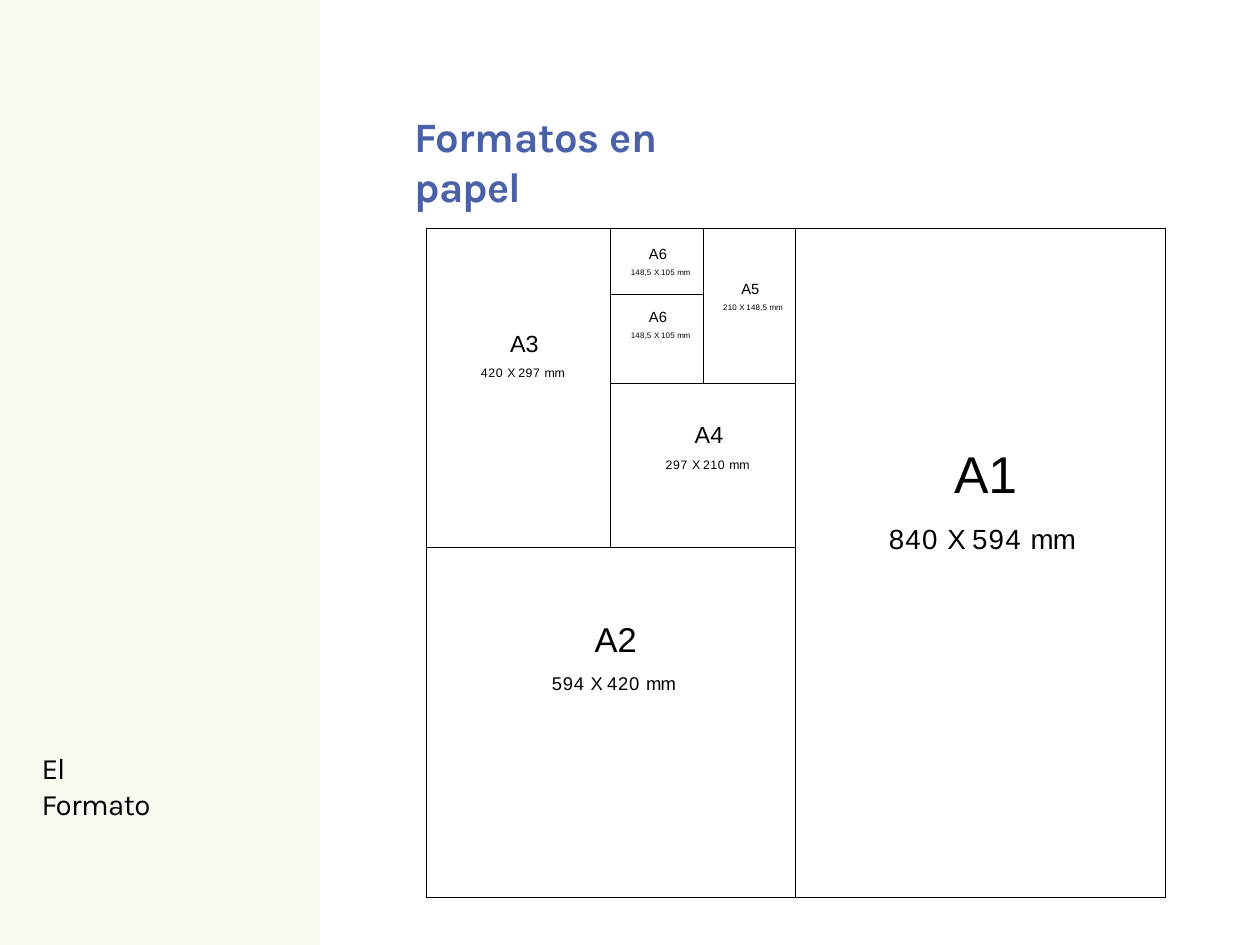
from collections import namedtuple
from lxml import etree
from pptx import Presentation
from pptx.dml.color import RGBColor
from pptx.enum.shapes import MSO_SHAPE
from pptx.enum.text import PP_ALIGN
from pptx.oxml.ns import qn
from pptx.util import Inches, Pt

RECT = MSO_SHAPE.RECTANGLE
CENTER = PP_ALIGN.CENTER

Box = namedtuple("Box", "x y w h")
Paper = namedtuple("Paper", "name row col rows cols top style height width")
Style = namedtuple("Style", "label size gap label_indent size_indent tracking")

SLIDE = Box(0, 0, 14.22, 10.67)
SIDEBAR = Box(0, 0, 3.61, SLIDE.h)
TITLE = Box(4.68, 1.24, 3.94, 0.59)
CHART = Box(4.81, 2.58, 8.34, 7.56)

THEME = {
    "heading_font": "Karla", "table_font": "Arial",
    "title": "4A61A8", "ink": "000000", "panel": "FAF9F0",
    "title_size": 34, "section_size": 24, "border": 1,
}

STYLES = {
    "large": Style(42, 22.5, 16.9, 0.12, 0.05, (0.9, -1.2, -0.7)),
    "medium": Style(28, 15, 11.2, 0.11, 0.07, (0.6, -0.8, -0.5)),
    "normal": Style(19, 10, 7.8, 0.13, 0.1, (0.5, -0.5, -0.1)),
    "small": Style(12, 6.5, 4.8, 0.02, 0.08, (0.15, -0.4, -0.2)),
}

COLUMN_SHARES = (2, 1, 1, 4)
ROW_SHARES = (0.75, 1, 1.85, 3.96)

PAPERS = (
    Paper("A1", 0, 3, 4, 1, 2.46, "large", "840", "594"),
    Paper("A2", 3, 0, 1, 3, 0.84, "medium", "594", "420"),
    Paper("A3", 0, 0, 3, 1, 1.16, "normal", "420", "297"),
    Paper("A4", 2, 1, 1, 2, 0.44, "normal", "297", "210"),
    Paper("A5", 0, 2, 2, 1, 0.59, "small", "210", "148,5"),
    Paper("A6", 0, 1, 1, 1, 0.2, "small", "148,5", "105"),
    Paper("A6", 1, 1, 1, 1, 0.16, "small", "148,5", "105"),
)


def emu(box):
    """Return the box as slide lengths."""
    return [Inches(v) for v in box]


def add_run(p, text, size, font, color, tracking=0, bold=False):
    """Add a styled run with letter spacing in points."""
    r = p.add_run()
    r.text = text
    for name, value in {"size": Pt(size), "name": font, "bold": bold}.items():
        setattr(r.font, name, value)
    r.font.color.rgb = RGBColor.from_string(color)
    r._r.get_or_add_rPr().set("spc", str(round(tracking * 100)))


def clear_margins(target, top=0):
    """Remove the insets of a text frame or cell, except the top one."""
    for side in ("left", "right", "bottom"):
        setattr(target, f"margin_{side}", 0)
    target.margin_top = Inches(top)


def add_heading(s, box, words, size, color, bold=False):
    """Place wrapped heading text, given as words with their tracking."""
    tf = s.shapes.add_textbox(*emu(box)).text_frame
    tf.word_wrap = True
    clear_margins(tf, 0.01)
    for text, tracking in words:
        add_run(tf.paragraphs[0], text, size, THEME["heading_font"], color, tracking, bold)


def add_sidebar(s, box):
    """Draw the side panel with the section name near its foot."""
    sp = s.shapes.add_shape(RECT, *emu(box))
    sp.shadow.inherit = False
    sp.fill.solid()
    sp.fill.fore_color.rgb = RGBColor.from_string(THEME["panel"])
    sp.line.fill.background()
    section = Box(box.x + 0.47, box.y + box.h - 2.21, 1.5, 0.42)
    add_heading(s, section, (("El ", -0.8), ("Formato", -0.5)),
                THEME["section_size"], THEME["ink"])


def add_borders(cell):
    """Give a cell no fill and a line on each side."""
    cell.fill.background()
    tcPr = cell._tc.get_or_add_tcPr()
    for i, side in enumerate(("lnL", "lnR", "lnT", "lnB")):
        ln = etree.Element(qn(f"a:{side}"), w=str(Pt(THEME["border"])))
        fill = etree.SubElement(ln, qn("a:solidFill"))
        etree.SubElement(fill, qn("a:srgbClr"), val=THEME["ink"])
        tcPr.insert(i, ln)


def center(p, indent):
    """Centre a paragraph after a left indent in inches."""
    p.alignment = CENTER
    p._p.get_or_add_pPr().set("marL", str(Inches(indent)))


def fill_paper(table, paper):
    """Merge the cells of one paper format and write its name and size."""
    style = STYLES[paper.style]
    cell = table.cell(paper.row, paper.col)
    if paper.rows * paper.cols > 1:
        cell.merge(table.cell(paper.row + paper.rows - 1, paper.col + paper.cols - 1))
    clear_margins(cell, paper.top)
    font, ink = THEME["table_font"], THEME["ink"]
    p = cell.text_frame.paragraphs[0]
    center(p, style.label_indent)
    add_run(p, paper.name, style.label, font, ink)
    p = cell.text_frame.add_paragraph()
    center(p, style.size_indent)
    p.space_before = Pt(style.gap)
    digits, cross, unit = style.tracking
    for text, tracking in ((f"{paper.height} ", digits), ("X ", cross),
                           (f"{paper.width} ", digits), ("mm", unit)):
        add_run(p, text, style.size, font, ink, tracking)


def add_paper_table(s, box):
    """Build the nested paper formats as a table filling the box."""
    table = s.shapes.add_table(len(ROW_SHARES), len(COLUMN_SHARES), *emu(box)).table
    table.first_row = table.horz_banding = False
    for column, share in zip(table.columns, COLUMN_SHARES):
        column.width = Inches(box.w * share / sum(COLUMN_SHARES))
    for row, share in zip(table.rows, ROW_SHARES):
        row.height = Inches(box.h * share / sum(ROW_SHARES))
    for cell in table.iter_cells():
        add_borders(cell)
    for paper in PAPERS:
        fill_paper(table, paper)


def main():
    """Build and save the slide."""
    prs = Presentation()
    prs.slide_width, prs.slide_height = Inches(SLIDE.w), Inches(SLIDE.h)
    s = prs.slides.add_slide(prs.slide_layouts[6])
    add_sidebar(s, SIDEBAR)
    add_heading(s, TITLE, (("Formatos ", -0.3), ("en ", -0.8), ("papel", -0.7)),
                THEME["title_size"], THEME["title"], bold=True)
    add_paper_table(s, CHART)
    prs.save("out.pptx")


if __name__ == "__main__":
    main()
